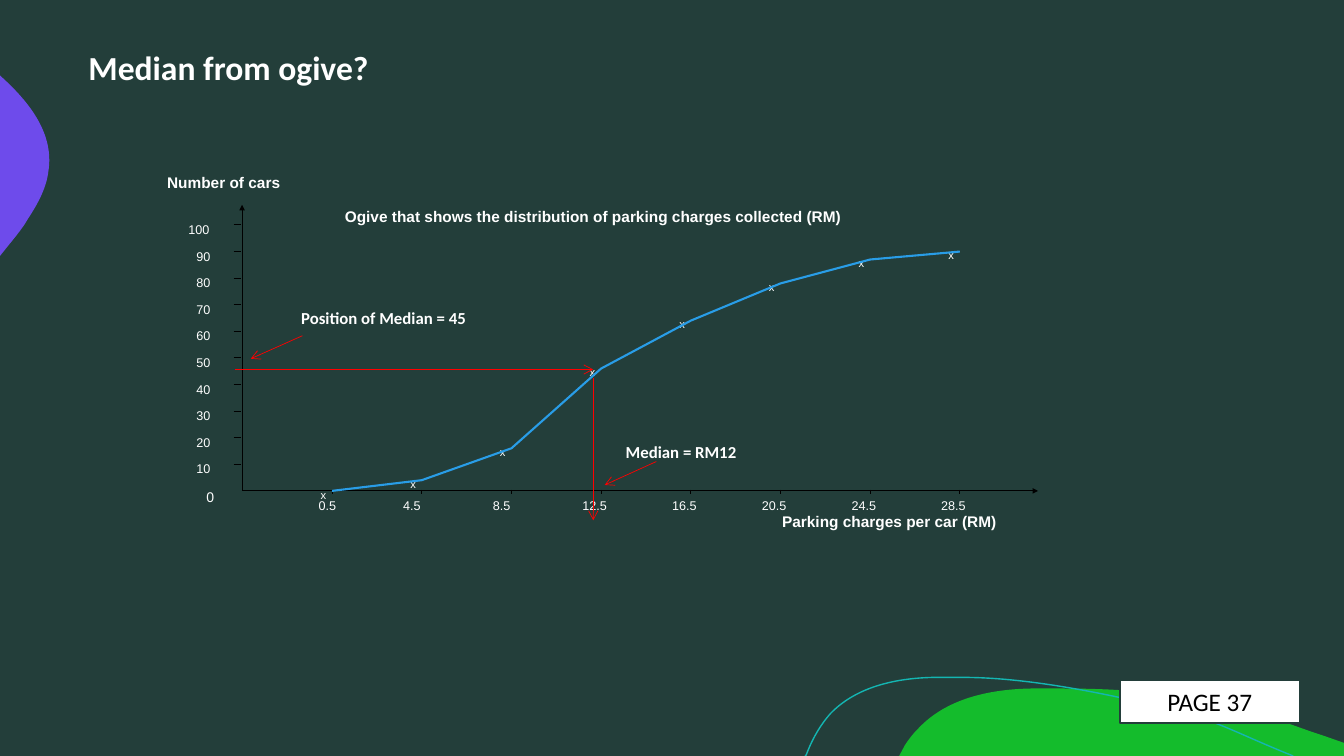
"""Build the slide that reads the median from an ogive."""
import lxml.etree
import pptx
import pptx.dml.color
import pptx.enum.shapes
import pptx.enum.text
import pptx.oxml.ns
import pptx.util

Cm = pptx.util.Cm
Pt = pptx.util.Pt
qn = pptx.oxml.ns.qn

DARK, WHITE, BLACK, RED = "233E3A", "FFFFFF", "000000", "FF0000"
LEFT, BASE = 6.1, 12.37
STEP_X, STEP_Y = 2.26, 0.67
FIRST_X = 8.37
COUNTS = (0, 4, 16, 46, 64, 78, 87, 90)

GREEN = [
    (26.77, 17.35),
    (28.65, 17.35, 30.58, 17.53, 32.33, 18.19),
    (32.66, 18.29, 32.97, 18.42, 33.3, 18.52),
    (33.87, 18.72), (33.87, 19.05), (22.66, 19.05), (22.81, 18.77),
    (22.91, 18.62, 23.01, 18.49, 23.14, 18.36),
    (23.85, 17.6, 24.94, 17.37, 25.98, 17.35),
    (26.24, 17.35, 26.49, 17.35, 26.77, 17.35),
]
PURPLE = [
    (0, 1.9), (0.03, 1.93),
    (0.76, 2.59, 1.37, 3.38, 1.22, 4.32),
    (1.17, 4.75, 0.94, 5.16, 0.69, 5.54),
    (0.61, 5.69, 0.43, 5.92, 0.2, 6.2),
    (0, 6.45),
]
TEAL = [
    (20.29, 19.05), (20.32, 19.02),
    (20.47, 18.62, 20.68, 18.26, 20.93, 17.98),
    (21.59, 17.3, 22.58, 17.09, 23.52, 17.07),
    (24.26, 17.07),
    (25.96, 17.07, 27.94, 17.5, 29.34, 17.83),
    (30.71, 18.16, 31.14, 18.47, 32.59, 19.05),
]


def rgb(code):
    """Turn a hex string into a colour."""
    return pptx.dml.color.RGBColor.from_string(code)


def bend(shape, parts, origin):
    """Turn the segments that have control points into cubic curves."""
    steps = list(shape.element.iter(qn("a:lnTo")))
    for step, part in zip(steps, parts[1:]):
        if len(part) == 2:
            continue
        step.tag_name = None
        curve = lxml.etree.Element(qn("a:cubicBezTo"))
        for x, y in (part[:2], part[2:4], part[4:]):
            spot = {"x": str(Cm(x) - origin[0]), "y": str(Cm(y) - origin[1])}
            lxml.etree.SubElement(curve, qn("a:pt"), spot)
        step.getparent().replace(step, curve)


def add_path(shapes, parts, fill=None, line=None, width=1):
    """Draw a filled closed outline or an open stroke."""
    points = [(Cm(part[-2]), Cm(part[-1])) for part in parts]
    pen = shapes.build_freeform(*points[0])
    pen.add_line_segments(points[1:], close=fill is not None)
    shape = pen.convert_to_shape()
    bend(shape, parts, [min(axis) for axis in zip(*points)])
    shape.shadow.inherit = False
    if fill:
        shape.fill.solid()
        shape.fill.fore_color.rgb = rgb(fill)
    else:
        shape.fill.background()
    if line:
        shape.line.color.rgb = rgb(line)
        shape.line.width = Pt(width)
    else:
        shape.line.fill.background()


def add_line(shapes, start, end, color=BLACK, width=0.75, head=None, size="med"):
    """Draw a straight line, with an arrowhead at its end if asked."""
    kind = pptx.enum.shapes.MSO_CONNECTOR.STRAIGHT
    link = shapes.add_connector(kind, *map(Cm, start + end))
    link.line.color.rgb = rgb(color)
    link.line.width = Pt(width)
    props = link.element.spPr
    if head:
        stroke = props.find(qn("a:ln"))
        lxml.etree.SubElement(stroke, qn("a:tailEnd"), type=head, w=size, len=size)
    lxml.etree.SubElement(props, qn("a:effectLst"))


def add_run(para, text, size, font, bold=False, color=WHITE):
    """Add one styled run to a paragraph."""
    run = para.add_run()
    run.text = text
    run.font.size = Pt(size)
    run.font.name = font
    run.font.bold = bold
    run.font.color.rgb = rgb(color)


def add_text(shapes, box, text, size, font="Arial", bold=False, after=0):
    """Place a wrapped text box."""
    frame = shapes.add_textbox(*map(Cm, box)).text_frame
    frame.word_wrap = True
    para = frame.paragraphs[0]
    if after:
        para.space_after = Pt(after)
    add_run(para, text, size, font, bold)


def add_badge(shapes, box, text):
    """Place the white page label."""
    shape = shapes.add_shape(pptx.enum.shapes.MSO_SHAPE.RECTANGLE, *map(Cm, box))
    shape.shadow.inherit = False
    shape.fill.solid()
    shape.fill.fore_color.rgb = rgb(WHITE)
    shape.line.color.rgb = rgb(DARK)
    shape.line.width = Pt(1)
    shape.text_frame.vertical_anchor = pptx.enum.text.MSO_ANCHOR.MIDDLE
    para = shape.text_frame.paragraphs[0]
    para.alignment = pptx.enum.text.PP_ALIGN.CENTER
    add_run(para, text, 18, "Calibri", color=BLACK)


def add_axes(shapes):
    """Draw both axes with ticks and labels."""
    for end in ((LEFT, 5.16), (26.16, BASE)):
        add_line(shapes, (LEFT, BASE), end, head="triangle", size="sm")
    add_text(shapes, (4.95, 12.19, 1.2, 0.48), "0", 10)
    for i in range(1, 11):
        y = BASE - i * STEP_Y
        add_line(shapes, (5.89, y), (6.07, y))
        x, width = (4.7, 1.6) if i < 10 else (4.5, 1.9)
        add_text(shapes, (x, y - 0.2, width, 0.48), str(10 * i), 9)
    for i in range(len(COUNTS)):
        x = FIRST_X + i * STEP_X
        add_line(shapes, (x, 12.34), (x, 12.45))
        gap = 0.72 if i else 0.59
        add_text(shapes, (x - gap, 12.42, 1.9, 0.38), str(0.5 + 4 * i), 9, after=10)


def add_ogive(shapes):
    """Draw the curve with its marks and titles."""
    points = [(FIRST_X + i * STEP_X, BASE - n * STEP_Y / 10) for i, n in enumerate(COUNTS)]
    for x, y in points:
        add_text(shapes, (x - 0.54, y - 0.2, 1.3, 0.41), "x", 8, after=10)
    add_path(shapes, points, line="299DE7", width=1.5)
    for box, text in (
        ((8.44, 5.09, 18.36, 0.61),
         "Ogive that shows the distribution of parking charges collected (RM)"),
        ((19.46, 12.78, 8.48, 0.76), "Parking charges per car (RM)"),
        ((3.96, 4.24, 4.52, 0.76), "Number of cars"),
    ):
        add_text(shapes, box, text, 11, bold=True, after=10)


def main():
    """Build and save the slide."""
    deck = pptx.Presentation()
    deck.slide_width, deck.slide_height = Cm(33.87), Cm(19.05)
    slide = deck.slides.add_slide(deck.slide_layouts[6])
    slide.background.fill.solid()
    slide.background.fill.fore_color.rgb = rgb(DARK)
    shapes = slide.shapes

    add_path(shapes, GREEN, fill="14BC2C")
    add_path(shapes, PURPLE, fill="6E4BEB")
    add_path(shapes, TEAL, line="14B6B2")

    graph = shapes.add_group_shape().shapes
    add_axes(graph)
    add_ogive(graph)

    for box, text, size in (
        ((1.98, 1.07, 14.96, 1.27), "Median from ogive?", 24),
        ((7.34, 7.62, 9.32, 0.76), "Position of Median = 45", 12),
        ((15.52, 11, 9.32, 0.76), "Median = RM12", 12),
    ):
        add_text(shapes, box, text, size, "Calibri", True)
    for start, end in (
        ((5.92, 9.31), (14.95, 9.31)),
        ((14.95, 9.53), (14.95, 13.11)),
        ((7.62, 8.46), (6.32, 9.04)),
        ((16.54, 11.63), (15.24, 12.22)),
    ):
        add_line(shapes, start, end, RED, 0.5, "arrow")
    add_badge(shapes, (28.23, 17.15, 4.52, 1.07), "PAGE 37")
    deck.save("out.pptx")


if __name__ == "__main__":
    main()
